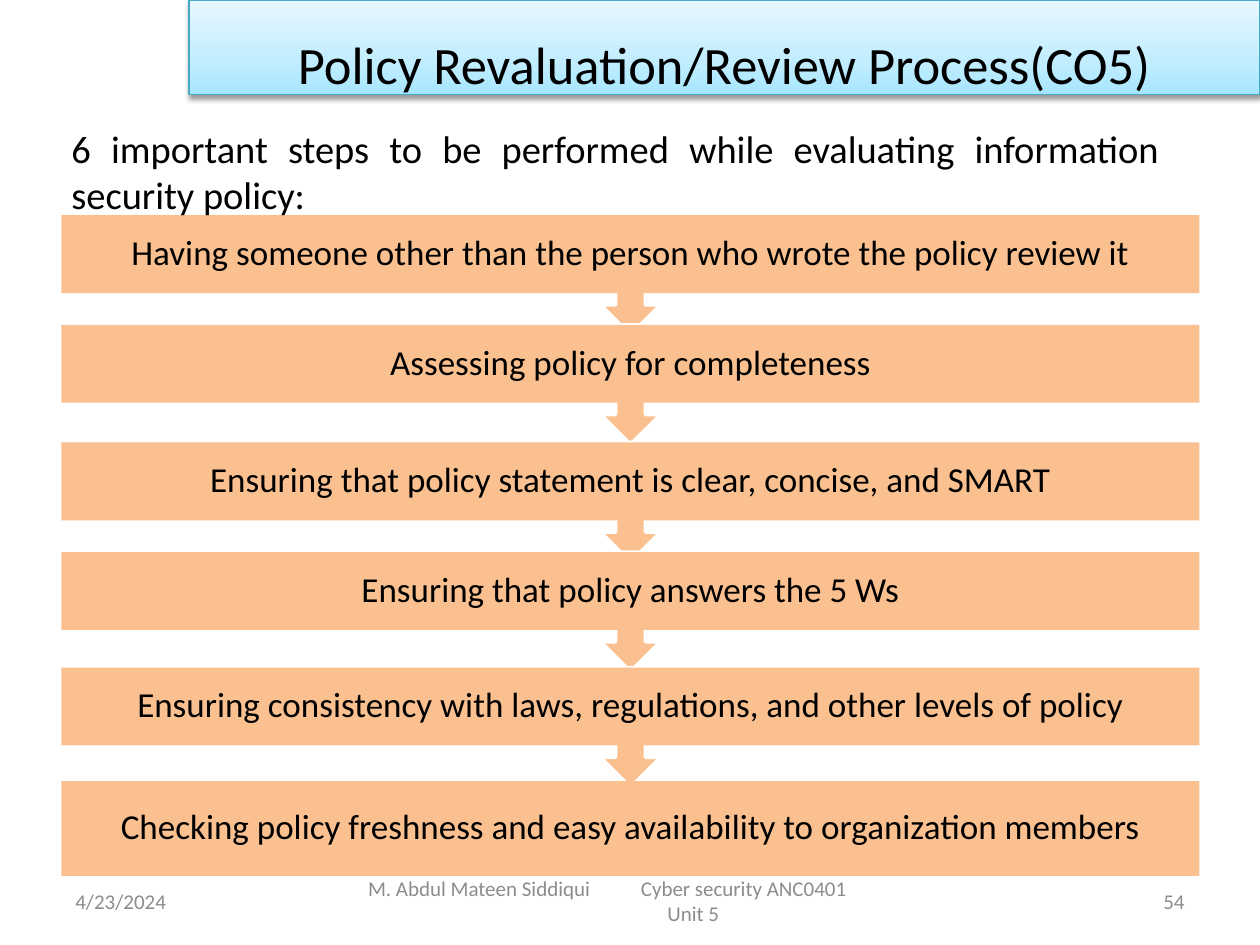
from copy import deepcopy

from lxml import etree
from pptx import Presentation
from pptx.dml.color import RGBColor
from pptx.enum.shapes import MSO_SHAPE
from pptx.enum.text import MSO_ANCHOR, MSO_AUTO_SIZE, PP_ALIGN
from pptx.oxml.ns import qn
from pptx.util import Cm, Pt

LEFT, CENTER, RIGHT, JUSTIFY = PP_ALIGN.LEFT, PP_ALIGN.CENTER, PP_ALIGN.RIGHT, PP_ALIGN.JUSTIFY
TOP, MIDDLE = MSO_ANCHOR.TOP, MSO_ANCHOR.MIDDLE
RECT, CALLOUT = MSO_SHAPE.RECTANGLE, MSO_SHAPE.UP_ARROW_CALLOUT
NO_FIT, GROW = MSO_AUTO_SIZE.NONE, MSO_AUTO_SIZE.SHAPE_TO_FIT_TEXT

STEPS = [
    (4.34, "Having someone other than the person who wrote the policy review it"),
    (6.55, "Assessing policy for completeness"),
    (8.92, "Ensuring that policy statement is clear, concise, and SMART"),
    (11.13, "Ensuring that policy answers the 5 Ws"),
    (13.46, "Ensuring consistency with laws, regulations, and other levels of policy"),
    (15.75, "Checking policy freshness and easy availability to organization members"),
]


def rgb(value):
    return RGBColor.from_string(value)


def add_xml(parent, tag, **attrs):
    return etree.SubElement(parent, qn(tag), attrs)


def write(tf, text, size=20, color="000000", align=CENTER, spacing=1.0, anchor=MIDDLE,
          fit=NO_FIT, inset=0.25, new=False):
    tf.word_wrap = True
    tf.auto_size = fit
    tf.vertical_anchor = anchor
    tf.margin_left = tf.margin_right = Cm(inset)
    p = tf.add_paragraph() if new else tf.paragraphs[0]
    p.alignment = align
    p.line_spacing = spacing
    p.space_before = Pt(0)
    r = p.add_run()
    r.text = text
    r.font.name = "Calibri"
    r.font.size = Pt(size)
    r.font.color.rgb = rgb(color)
    return p


class Deck:
    fill = "FAC090"
    grey = "8C8C8C"

    def __init__(self):
        self.prs = Presentation()
        self.prs.slide_width, self.prs.slide_height = Cm(25.4), Cm(19.05)
        self.s = self.prs.slides.add_slide(self.prs.slide_layouts[1])

    def place(self, sp, x, y, w, h):
        sp.left, sp.top, sp.width, sp.height = Cm(x), Cm(y), Cm(w), Cm(h)

    def title(self, text, box, stops):
        sp = self.s.shapes.title
        self.place(sp, *box)
        sp.fill.gradient()
        sp.fill.gradient_angle = 90
        gs_list = sp._element.find(".//" + qn("a:gsLst"))
        gs_list.append(deepcopy(gs_list[0]))
        for stop, (position, color) in zip(sp.fill.gradient_stops, stops):
            stop.position = position
            stop.color.rgb = rgb(color)
        sp.line.color.rgb = rgb("46AAC5")
        sp.line.width = Pt(0.75)
        sp.shadow.inherit = False
        effects = sp._element.spPr.find(qn("a:effectLst"))
        shadow = add_xml(effects, "a:outerShdw", blurRad=str(Pt(3.1)), dist=str(Pt(1.6)),
                         dir="5400000", rotWithShape="0")
        add_xml(add_xml(shadow, "a:srgbClr", val="000000"), "a:alpha", val="38000")
        write(sp.text_frame, text, size=30, spacing=1.5)

    def body(self, text, box):
        sp = self.s.placeholders[1]
        self.place(sp, *box)
        p = write(sp.text_frame, text, size=22, align=JUSTIFY, anchor=TOP, fit=GROW)
        pPr = p._p.get_or_add_pPr()
        pPr.set("marL", "0")
        pPr.set("indent", "0")
        add_xml(pPr, "a:buNone")
        sp._element.getparent().append(sp._element)

    def shape(self, kind, x, y, w, h):
        sp = self.s.shapes.add_shape(kind, Cm(x), Cm(y), Cm(w), Cm(h))
        sp.shadow.inherit = False
        sp.fill.solid()
        sp.fill.fore_color.rgb = rgb(self.fill)
        sp.line.fill.background()
        return sp

    def step(self, text, y, last):
        x, w = 1.24, 22.94
        if not last:
            sp = self.shape(CALLOUT, x, y, w, 2.41)
            sp.rotation = 180
            sp.line.color.rgb = rgb("FFFFFF")
            sp.line.width = Pt(2)
        sp = self.shape(RECT, x, y, w, 1.91 if last else 1.57)
        write(sp.text_frame, text, spacing=0.9, inset=0.4)

    def footer(self, text, x, w, align, **fmt):
        sp = self.s.shapes.add_textbox(Cm(x), Cm(17.65), Cm(w), Cm(1.02))
        tf = sp.text_frame
        return tf, write(tf, text, size=12, color=self.grey, align=align, **fmt)

    def course_footer(self, first, second, x, w, tab):
        tf, p = self.footer(first, x, w, LEFT, inset=0.43)
        tabs = add_xml(p._p.get_or_add_pPr(), "a:tabLst")
        add_xml(tabs, "a:tab", pos=str(Cm(tab)), algn="l")
        write(tf, second, size=12, color=self.grey, inset=0.43, new=True)


def main():
    deck = Deck()
    deck.footer("4/23/2024", 1.27, 5.92, LEFT)
    deck.course_footer("M. Abdul Mateen Siddiqui\tCyber security ANC0401", "Unit 5",
                       6.99, 13.97, 5.5)
    deck.footer("54", 18.21, 5.92, RIGHT)
    deck.title("Policy Revaluation/Review Process(CO5)", (3.81, 0, 21.59, 1.91),
               [(0, "A7E6FF"), (0.35, "C1EDFF"), (1, "E7F8FF")])
    for y, text in STEPS:
        deck.step(text, y, last=y == STEPS[-1][0])
    deck.body("6 important steps to be performed while evaluating information security policy:",
              (1.19, 2.39, 22.43, 2.13))
    deck.prs.save("out.pptx")


if __name__ == "__main__":
    main()
